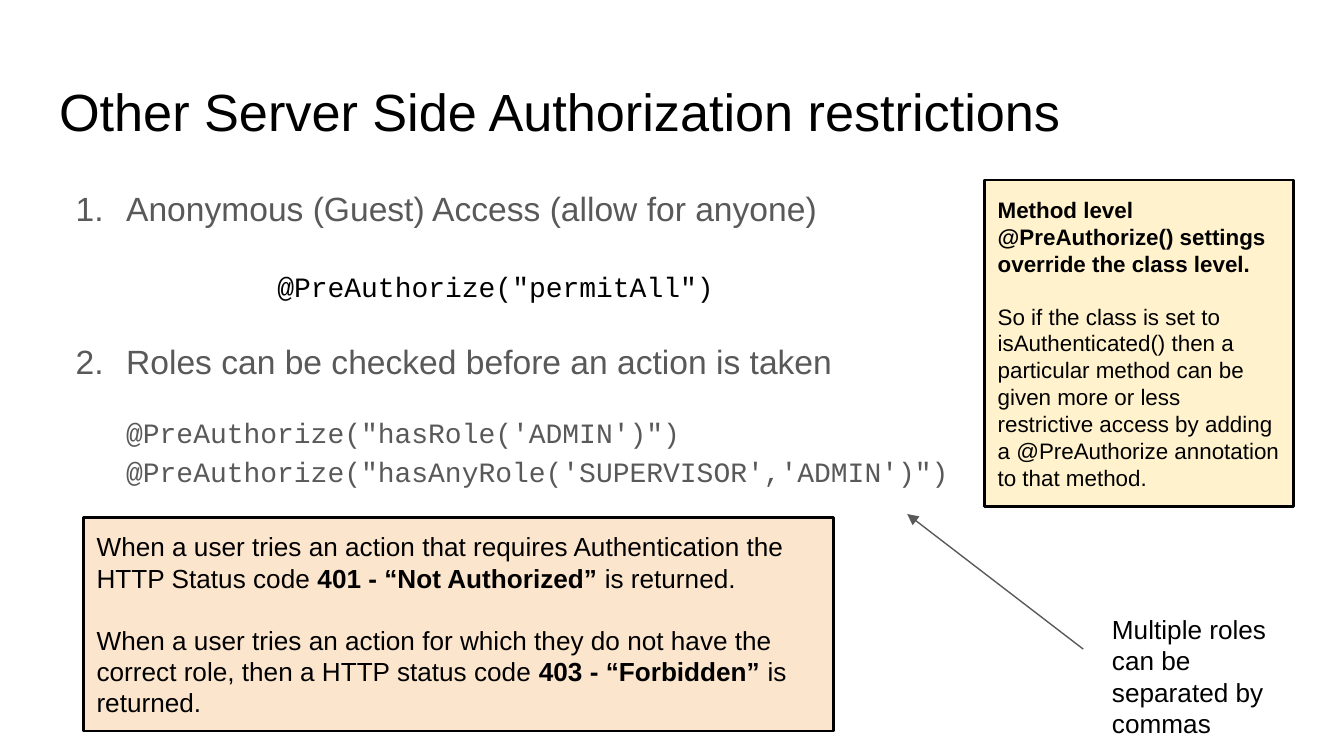
from dataclasses import dataclass

from lxml.etree import SubElement
from pptx import Presentation
from pptx.dml.color import RGBColor as Color
from pptx.enum.shapes import MSO_CONNECTOR as Connector, MSO_SHAPE as Shape
from pptx.enum.text import MSO_ANCHOR as Anchor, MSO_AUTO_SIZE as AutoSize, PP_ALIGN as Align
from pptx.oxml.ns import qn
from pptx.util import Pt

PX = 4572
TITLE_ONLY = 5


@dataclass(frozen=True)
class Theme:
    sans: str = "Arial"
    mono: str = "Courier New"
    ink: str = "000000"
    muted: str = "595959"
    note_fill: str = "FFF2CC"
    status_fill: str = "FCE5CD"
    title_size: int = 28
    item_size: int = 18
    code_size: int = 15
    status_size: int = 14
    note_size: int = 12


class SlideBuilder:
    def __init__(self, slide, theme):
        self.slide = slide
        self.theme = theme

    def scaled(self, lengths):
        return [length * PX for length in lengths]

    def frame(self, shape, anchor=Anchor.TOP, auto_size=AutoSize.NONE):
        frame = shape.text_frame
        frame.word_wrap = True
        frame.auto_size = auto_size
        frame.vertical_anchor = anchor
        frame.margin_left = frame.margin_right = 20 * PX
        frame.margin_top = frame.margin_bottom = 20 * PX
        return frame

    def run(self, paragraph, text, size, color, font=None, bold=False):
        run = paragraph.add_run()
        run.text = text
        run.font.name = font or self.theme.sans
        run.font.size = Pt(size)
        run.font.bold = bold
        run.font.color.rgb = Color.from_string(color)

    def title(self, box, text):
        shape = self.slide.shapes.title
        shape.left, shape.top, shape.width, shape.height = self.scaled(box)
        paragraph = self.frame(shape).paragraphs[0]
        paragraph.alignment = Align.LEFT
        self.run(paragraph, text, self.theme.title_size, self.theme.ink)

    def text_box(self, box, auto_size=AutoSize.NONE):
        shape = self.slide.shapes.add_textbox(*self.scaled(box))
        return self.frame(shape, auto_size=auto_size)

    def body_paragraph(self, frame, first=False, number=None):
        paragraph = frame.paragraphs[0] if first else frame.add_paragraph()
        paragraph.line_spacing = 1.15
        if not first:
            paragraph.space_before = Pt(16)
        properties = paragraph._p.get_or_add_pPr()
        properties.set("marL", str(100 * PX))
        properties.set("indent", str(-75 * PX if number else 0))
        properties.set("defTabSz", str(200 * PX))
        if number:
            color = SubElement(properties, qn("a:buClr"))
            SubElement(color, qn("a:srgbClr"), val=self.theme.muted)
            SubElement(properties, qn("a:buFont"), typeface=self.theme.sans)
            SubElement(properties, qn("a:buAutoNum"), type="arabicPeriod", startAt=str(number))
        else:
            SubElement(properties, qn("a:buNone"))
        return paragraph

    def item(self, frame, number, text):
        paragraph = self.body_paragraph(frame, number == 1, number)
        self.run(paragraph, text, self.theme.item_size, self.theme.muted)

    def tabbed_code(self, frame, text):
        paragraph = self.body_paragraph(frame)
        self.run(paragraph, "\t", self.theme.item_size, self.theme.muted)
        self.run(paragraph, text, self.theme.code_size, self.theme.ink, self.theme.mono)

    def code_lines(self, frame, lines):
        paragraph = self.body_paragraph(frame)
        for line in lines:
            self.run(paragraph, line, self.theme.code_size, self.theme.muted, self.theme.mono)
            paragraph.add_line_break()

    def panel(self, box, fill, size, paragraphs):
        shape = self.slide.shapes.add_shape(Shape.RECTANGLE, *self.scaled(box))
        shape.shadow.inherit = False
        shape.fill.solid()
        shape.fill.fore_color.rgb = Color.from_string(fill)
        shape.line.color.rgb = Color.from_string(self.theme.ink)
        shape.line.width = Pt(1.5)
        frame = self.frame(shape, Anchor.MIDDLE)
        for index, runs in enumerate(paragraphs):
            paragraph = frame.add_paragraph() if index else frame.paragraphs[0]
            paragraph.alignment = Align.LEFT
            if index:
                paragraph.space_before = Pt(size * 1.17)
            for text, bold in runs:
                self.run(paragraph, text, size, self.theme.ink, bold=bold)

    def label(self, box, text):
        frame = self.text_box(box, AutoSize.SHAPE_TO_FIT_TEXT)
        self.run(frame.paragraphs[0], text, self.theme.status_size, self.theme.ink)

    def arrow(self, start, end):
        connector = self.slide.shapes.add_connector(
            Connector.STRAIGHT, *self.scaled(start + end))
        connector.line.color.rgb = Color.from_string(self.theme.muted)
        connector.line.width = Pt(0.75)
        SubElement(connector.line._get_or_add_ln(), qn("a:tailEnd"), type="triangle")
        SubElement(connector._element.spPr, qn("a:effectLst"))


def main():
    theme = Theme()
    presentation = Presentation()
    presentation.slide_width = 2000 * PX
    presentation.slide_height = 1125 * PX
    slide = presentation.slides.add_slide(presentation.slide_layouts[TITLE_ONLY])
    builder = SlideBuilder(slide, theme)

    builder.title((68, 98, 1864, 126), "Other Server Side Authorization restrictions")

    body = builder.text_box((68, 251, 1396, 486))
    builder.item(body, 1, "Anonymous (Guest) Access (allow for anyone)")
    builder.tabbed_code(body, ' @PreAuthorize("permitAll")')
    builder.item(body, 2, "Roles can be checked before an action is taken")
    builder.code_lines(body, [
        "@PreAuthorize(\"hasRole('ADMIN')\")",
        "@PreAuthorize(\"hasAnyRole('SUPERVISOR','ADMIN')\")",
    ])

    builder.panel((1465, 268, 460, 486), theme.note_fill, theme.note_size, [
        [("Method level @PreAuthorize() settings override the class level.", True)],
        [("So if the class is set to isAuthenticated() then a particular method can be given "
          "more or less restrictive access by adding a @PreAuthorize annotation to that method.",
          False)],
    ])
    builder.panel((124, 770, 1116, 318), theme.status_fill, theme.status_size, [
        [("When a user tries an action that requires Authentication the HTTP Status code ", False),
         ("401 - “Not Authorized” ", True),
         ("is returned.", False)],
        [("When a user tries an action for which they do not have the correct role, "
          "then a HTTP status code ", False),
         ("403 - “Forbidden”", True),
         (" is returned.", False)],
    ])

    builder.arrow((1612, 966), (1350, 765))
    builder.label((1635, 893, 298, 228), "Multiple roles can be separated by commas")

    presentation.save("out.pptx")


if __name__ == "__main__":
    main()
